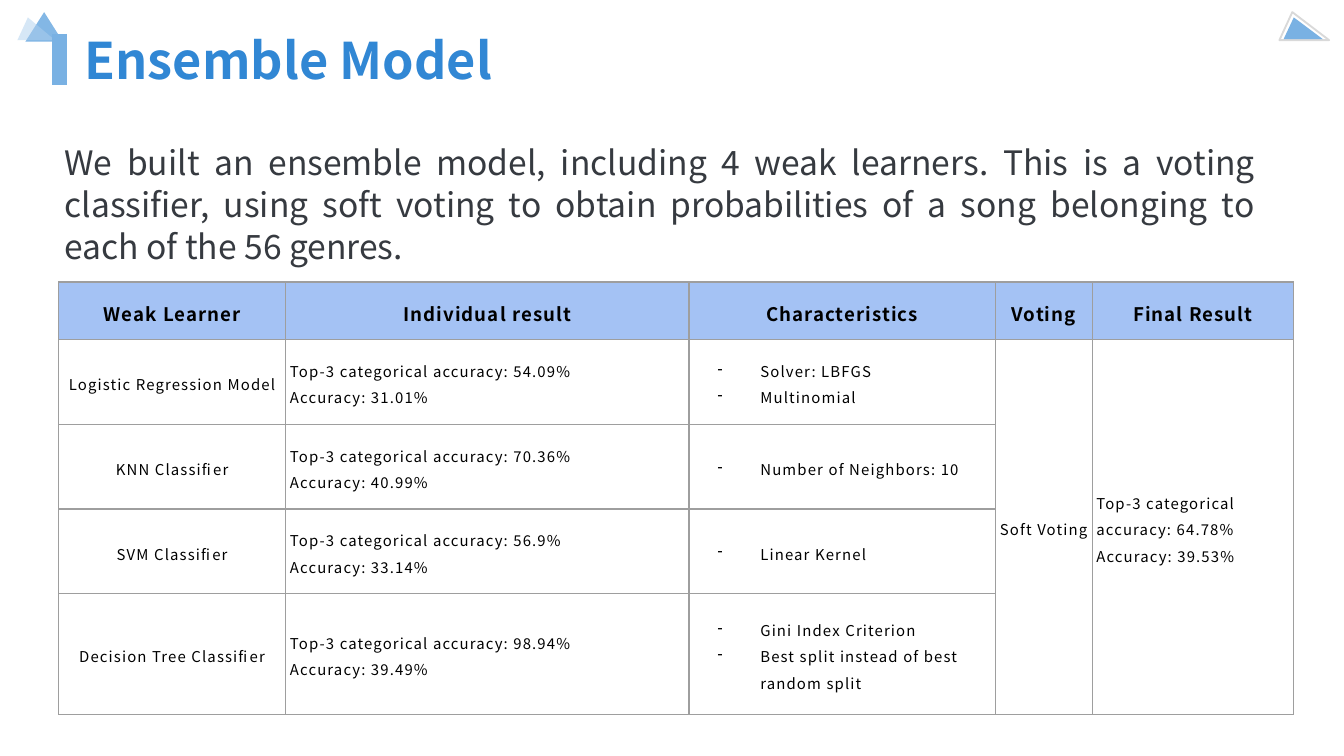
from dataclasses import dataclass
from typing import Optional

from pptx import Presentation
from pptx.dml.color import RGBColor
from pptx.enum.shapes import MSO_CONNECTOR as Link, MSO_SHAPE as Form
from pptx.enum.text import MSO_ANCHOR as Anchor, PP_ALIGN as Align
from pptx.oxml.ns import qn
from pptx.util import Cm, Pt
from lxml.etree import SubElement as sub

FONT = "Noto Sans CJK SC"
BLUE, SKY, GRID, BLACK = "3187D4", "79B1E3", "9E9E9E", "000000"


@dataclass
class Peak:
    left: float
    top: float
    width: float
    height: float
    tip: float
    fill: Optional[str] = None
    alpha: int = 100
    line: Optional[str] = None


@dataclass
class Style:
    size: float
    color: str = BLACK
    bold: bool = False
    align: Align = Align.LEFT
    space: float = 1.0
    after: float = 0
    track: int = 0
    dash: bool = False


@dataclass
class Model:
    name: str
    top: str
    score: str
    traits: tuple[str, ...]


PEAKS = [
    Peak(0.48, 0.23, 0.71, 0.56, 0.5, BLUE, 60),
    Peak(0.33, 0.33, 0.71, 0.43, 0.28, "AFD0EE", 50),
    Peak(24.18, 0.23, 0.94, 0.53, 0.26, line="D9D9D9"),
    Peak(24.26, 0.33, 0.74, 0.41, 0.26, SKY),
]
HEADS = ["Weak Learner", "Individual result", "Characteristics", "Voting", "Final Result"]
MODELS = [
    Model("Logistic Regression Model", "54.09%", "31.01%", ("Solver: LBFGS", "Multinomial")),
    Model("KNN Classifier", "70.36%", "40.99%", ("Number of Neighbors: 10",)),
    Model("SVM Classifier", "56.9%", "33.14%", ("Linear Kernel",)),
    Model("Decision Tree Classifier", "98.94%", "39.49%",
          ("Gini Index Criterion", "Best split instead of best random split")),
]
WIDTHS = [4.29, 7.62, 5.79, 1.83, 3.81]
HEIGHTS = [1.09, 1.6, 1.6, 1.6, 2.29]

HEAD = Style(10, bold=True, align=Align.CENTER, space=1.2, track=60)
NAME = Style(8, align=Align.CENTER, space=1.2, track=60)
BODY = Style(8, space=1.2, track=60)
LIST = Style(8, space=1.2, track=60, dash=True)


def tint(code: str) -> RGBColor:
    return RGBColor.from_string(code)


def write(frame, lines, style: Style) -> None:
    for i, line in enumerate(lines):
        para = frame.paragraphs[0] if i == 0 else frame.add_paragraph()
        para.alignment = style.align
        para.line_spacing = style.space
        para.space_after = Pt(style.after)
        if style.dash:
            props = para._p.get_or_add_pPr()
            props.set("marL", str(Cm(1.27)))
            props.set("indent", str(-Cm(0.81)))
            sub(sub(props, qn("a:buClr")), qn("a:srgbClr"), val=BLACK)
            sub(props, qn("a:buChar"), char="-")
        run = para.add_run()
        run.text = line
        font = run.font
        font.name, font.size, font.bold = FONT, Pt(style.size), style.bold
        font.color.rgb = tint(style.color)
        if style.track:
            run._r.get_or_add_rPr().set("spc", str(style.track))


def add_peak(slide, peak: Peak) -> None:
    shape = slide.shapes.add_shape(
        Form.ISOSCELES_TRIANGLE, Cm(peak.left), Cm(peak.top), Cm(peak.width), Cm(peak.height))
    shape.shadow.inherit = False
    shape.adjustments[0] = peak.tip
    if peak.fill:
        shape.fill.solid()
        shape.fill.fore_color.rgb = tint(peak.fill)
        if peak.alpha < 100:
            color = shape._element.spPr.find(".//" + qn("a:srgbClr"))
            sub(color, qn("a:alpha"), val=str(peak.alpha * 1000))
    else:
        shape.fill.background()
    if peak.line:
        shape.line.color.rgb = tint(peak.line)
        shape.line.width = Pt(1)
    else:
        shape.line.fill.background()


def add_text(slide, box, text: str, style: Style, inset: float, anchor: Anchor) -> None:
    frame = slide.shapes.add_textbox(*map(Cm, box)).text_frame
    frame.word_wrap = True
    frame.vertical_anchor = anchor
    frame.margin_left = frame.margin_right = Cm(inset)
    frame.margin_top = frame.margin_bottom = Cm(inset)
    write(frame, [text], style)


def add_bar(slide) -> None:
    bar = slide.shapes.add_connector(Link.STRAIGHT, Cm(1.12), Cm(0.64), Cm(1.12), Cm(1.6))
    bar.line.color.rgb = tint(SKY)
    bar.line.width = Pt(8)
    sub(bar._element.spPr, qn("a:effectLst"))


def dress(cell, fill: Optional[str]) -> None:
    cell.vertical_anchor = Anchor.MIDDLE
    cell.margin_left = cell.margin_right = Cm(0.08)
    cell.margin_top = cell.margin_bottom = Cm(0.08)
    props = cell._tc.get_or_add_tcPr()
    for side in ("lnL", "lnR", "lnT", "lnB"):
        edge = sub(props, qn(f"a:{side}"), w=str(Pt(0.75)))
        sub(sub(edge, qn("a:solidFill")), qn("a:srgbClr"), val=GRID)
    if fill:
        cell.fill.solid()
        cell.fill.fore_color.rgb = tint(fill)
    else:
        cell.fill.background()


def scores(top: str, score: str) -> list[str]:
    return [f"Top-3 categorical accuracy: {top}", f"Accuracy: {score}"]


def add_grid(slide) -> None:
    grid = slide.shapes.add_table(
        len(HEIGHTS), len(WIDTHS), Cm(1.11), Cm(5.33), Cm(sum(WIDTHS)), Cm(sum(HEIGHTS))).table
    grid.first_row = grid.horz_banding = False
    for col, width in zip(grid.columns, WIDTHS):
        col.width = Cm(width)
    for y, height in enumerate(HEIGHTS):
        grid.rows[y].height = Cm(height)
        for x in range(len(WIDTHS)):
            dress(grid.cell(y, x), "A4C2F4" if y == 0 else None)
    for x, head in enumerate(HEADS):
        write(grid.cell(0, x).text_frame, [head], HEAD)
    for y, model in enumerate(MODELS, 1):
        write(grid.cell(y, 0).text_frame, [model.name], NAME)
        write(grid.cell(y, 1).text_frame, scores(model.top, model.score), BODY)
        write(grid.cell(y, 2).text_frame, model.traits, LIST)
    for x in (3, 4):
        grid.cell(1, x).merge(grid.cell(len(MODELS), x))
    write(grid.cell(1, 3).text_frame, ["Soft Voting"], NAME)
    write(grid.cell(1, 4).text_frame, scores("64.78%", "39.53%"), BODY)


def main() -> None:
    deck = Presentation()
    deck.slide_width, deck.slide_height = Cm(25.4), Cm(14.29)
    slide = deck.slides.add_slide(deck.slide_layouts[6])
    for peak in PEAKS:
        add_peak(slide, peak)
    add_text(slide, (1.6, 0.33, 22.86, 1.6), "Ensemble Model",
             Style(27, BLUE, bold=True), 0, Anchor.MIDDLE)
    add_bar(slide)
    add_text(slide, (0.97, 2.39, 23.01, 3.07),
             "We built an ensemble model, including 4 weak learners. This is a voting classifier, "
             "using soft voting to obtain probabilities of a song belonging to each of the 56 genres.",
             Style(18, "363A40", align=Align.JUSTIFY, space=1.05, after=12), 0.25, Anchor.TOP)
    add_grid(slide)
    deck.save("out.pptx")


if __name__ == "__main__":
    main()
